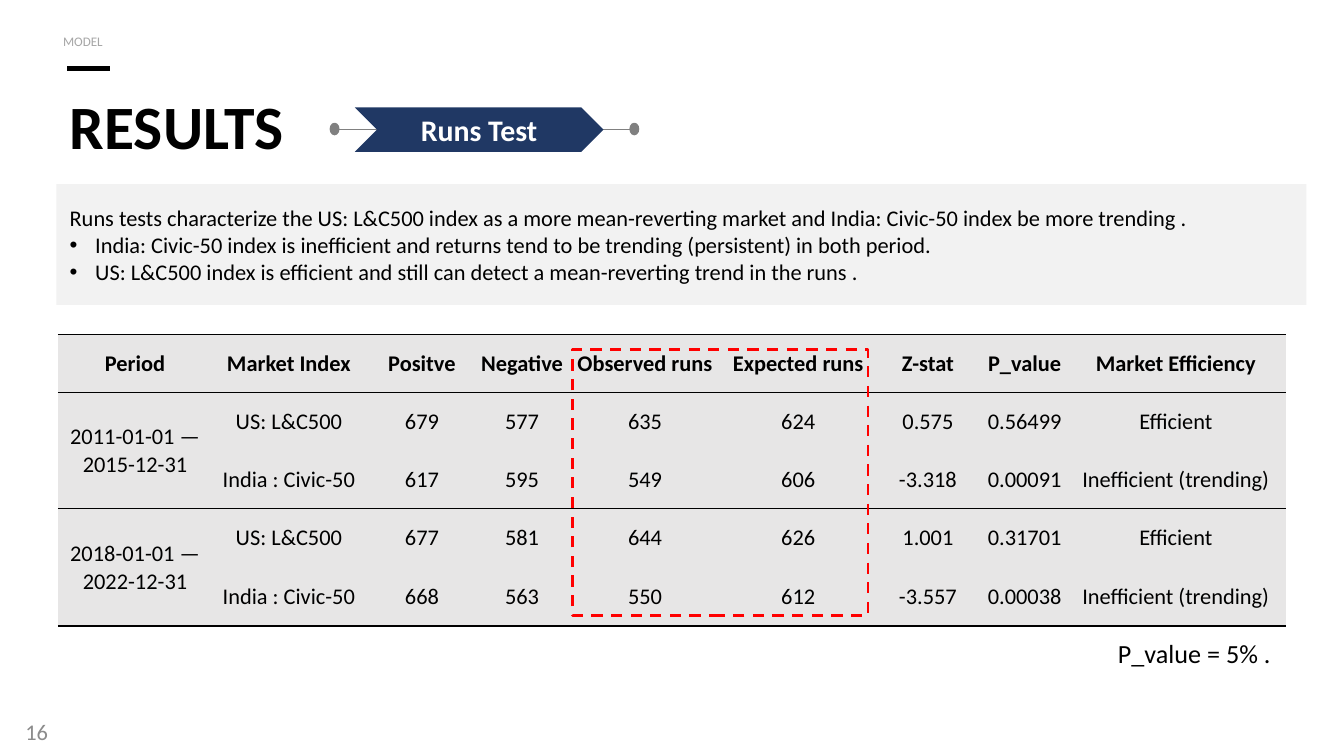
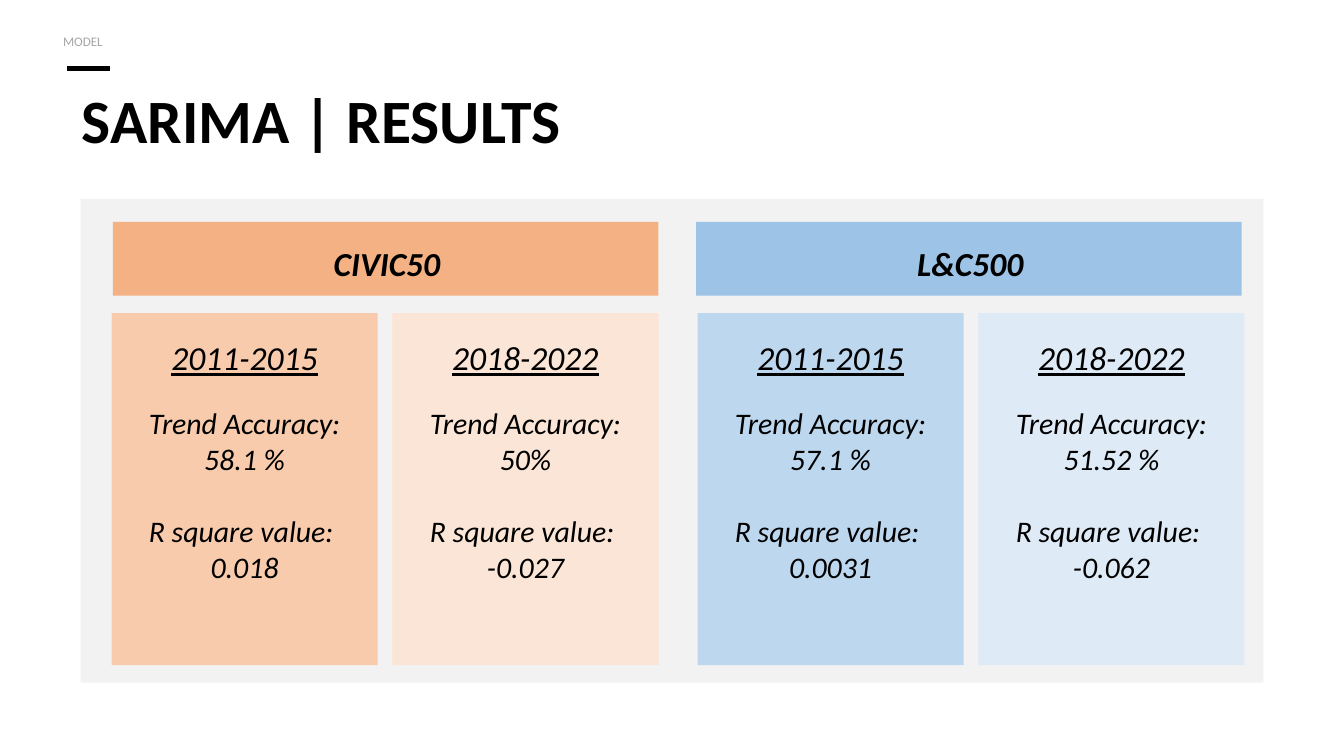
from dataclasses import dataclass
from typing import NamedTuple

from lxml.etree import SubElement
from pptx import Presentation
from pptx.dml.color import RGBColor
from pptx.enum.dml import MSO_LINE
from pptx.enum.shapes import MSO_CONNECTOR, MSO_SHAPE
from pptx.enum.text import MSO_ANCHOR, MSO_AUTO_SIZE, PP_ALIGN
from pptx.oxml.ns import qn
from pptx.util import Pt

PX = 9144  # 100 px to the inch
FONT = "Calibri"
BLACK = RGBColor(0x00, 0x00, 0x00)
WHITE = RGBColor(0xFF, 0xFF, 0xFF)
MUTED = RGBColor(0x8C, 0x8C, 0x8C)
FAINT = RGBColor(0xA6, 0xA6, 0xA6)
GREY = RGBColor(0x80, 0x80, 0x80)
PANEL = RGBColor(0xF2, 0xF2, 0xF2)
CELL = RGBColor(0xE7, 0xE6, 0xE6)
NAVY = RGBColor(0x20, 0x38, 0x64)
RED = RGBColor(0xFF, 0x00, 0x00)
ORANGE = RGBColor(0xF4, 0xB1, 0x83)
PEACH = RGBColor(0xF8, 0xCB, 0xAD)
CREAM = RGBColor(0xFB, 0xE5, 0xD6)
BLUE = RGBColor(0x9D, 0xC3, 0xE6)
SKY = RGBColor(0xBD, 0xD7, 0xEE)
ICE = RGBColor(0xDE, 0xEB, 0xF7)

NO_GRID = "{2D5ABB26-0587-4C30-8999-92F81FD0307C}"
COLS = (115, 114, 84, 65, 118, 110, 83, 61, 164)
ROWS = (43, 43, 43, 43, 45)
EDGES = {0: 1, 1: 0.5, 3: 0.5, 5: 1}  # line width above each row
RUNS = (
    ("Period", "Market Index", "Positve", "Negative", "Observed runs",
     "Expected runs", "Z-stat", "P_value", "Market Efficiency"),
    ("2011-01-01 — 2015-12-31", "US: L&C500", "679", "577", "635", "624",
     "0.575", "0.56499", "Efficient"),
    ("", "India : Civic-50", "617", "595", "549", "606",
     "-3.318", "0.00091", "Inefficient (trending)"),
    ("2018-01-01 — 2022-12-31", "US: L&C500", "677", "581", "644", "626",
     "1.001", "0.31701", "Efficient"),
    ("", "India : Civic-50", "668", "563", "550", "612",
     "-3.557", "0.00038", "Inefficient (trending)"),
)


class Box(NamedTuple):
    x: int
    y: int
    w: int
    h: int

    def emu(self) -> tuple:
        return tuple(side * PX for side in self)


class Para(NamedTuple):
    text: str
    bullet: bool = False
    before: float = 0


@dataclass
class Card:
    years: str
    trend: str
    fit: str
    fill: RGBColor


@dataclass
class Market:
    name: str
    band: int
    left: int
    fill: RGBColor
    cards: tuple


MARKETS = (
    Market("CIVIC50", 84, 83, ORANGE, (
        Card("2011-2015", "58.1 %", "0.018", PEACH),
        Card("2018-2022", "50%", "-0.027", CREAM))),
    Market("L&C500", 518, 519, BLUE, (
        Card("2011-2015", "57.1 %", "0.0031", SKY),
        Card("2018-2022", "51.52 %", "-0.062", ICE))),
)


def write(frame, *paras, size=12, color=BLACK, bold=False, italic=False,
          under=False, align=PP_ALIGN.LEFT, line=None) -> None:
    """Fill a text frame with strings or Paras in one format."""
    for i, item in enumerate(paras):
        para = Para(item) if isinstance(item, str) else item
        p = frame.paragraphs[0] if i == 0 else frame.add_paragraph()
        p.alignment = align
        p.space_before = Pt(para.before)
        if line:
            p.line_spacing = Pt(line)
        if para.bullet:
            props = p._p.get_or_add_pPr()
            props.set("marL", str(19 * PX))
            props.set("indent", str(-19 * PX))
            SubElement(props, qn("a:buFont"), typeface="Arial")
            SubElement(props, qn("a:buChar"), char="•")
        run = p.add_run()
        run.text = para.text
        font = run.font
        font.name, font.size, font.bold = FONT, Pt(size), bold
        font.italic, font.underline = italic, under
        font.color.rgb = color


def label(slide, box: Box, *paras, inset=None, wrap=True,
          anchor=MSO_ANCHOR.TOP, **style) -> None:
    frame = slide.shapes.add_textbox(*box.emu()).text_frame
    frame.word_wrap = wrap
    frame.auto_size = MSO_AUTO_SIZE.NONE if wrap else MSO_AUTO_SIZE.SHAPE_TO_FIT_TEXT
    frame.vertical_anchor = anchor
    if inset is not None:
        frame.margin_left = frame.margin_right = inset * PX
        frame.margin_top = frame.margin_bottom = inset * PX
    write(frame, *paras, **style)


def shape(slide, box: Box, fill=None, kind=MSO_SHAPE.RECTANGLE,
          edge=None, width=1.0, dash=None):
    item = slide.shapes.add_shape(kind, *box.emu())
    item.shadow.inherit = False
    if fill is None:
        item.fill.background()
    else:
        item.fill.solid()
        item.fill.fore_color.rgb = fill
    if edge is None:
        item.line.fill.background()
    else:
        item.line.color.rgb = edge
        item.line.width = Pt(width)
        if dash:
            item.line.dash_style = dash
    item.text_frame.vertical_anchor = MSO_ANCHOR.MIDDLE
    return item


def rule(slide, x: int, end: int, y: int, color: RGBColor, width: float) -> None:
    """Draw a level line from x to end."""
    item = slide.shapes.add_connector(
        MSO_CONNECTOR.STRAIGHT, x * PX, y * PX, end * PX, y * PX)
    item.line.color.rgb = color
    item.line.width = Pt(width)
    SubElement(item.element.spPr, qn("a:effectLst"))


def start(deck, title: str, box: Box):
    """Add a slide with its title, section mark and section name."""
    slide = deck.slides.add_slide(deck.slide_layouts[5])
    head = slide.shapes.title
    head.left, head.top, head.width, head.height = box.emu()
    frame = head.text_frame
    frame.auto_size = MSO_AUTO_SIZE.NONE
    frame.vertical_anchor = MSO_ANCHOR.TOP
    write(frame, title, size=33, bold=True, line=30)
    rule(slide, 50, 82, 51, BLACK, 2.25)
    label(slide, Box(42, 18, 452, 23), "MODEL", inset=5, size=7,
          color=FAINT, line=10)
    return slide


def frame_cell(cell, top, bottom) -> None:
    """Set all four borders; a width of None means no line."""
    props = cell._tc.get_or_add_tcPr()
    sides = (("a:lnL", None), ("a:lnR", None), ("a:lnT", top), ("a:lnB", bottom))
    for at, (tag, width) in enumerate(sides):
        edge = SubElement(props, qn(tag))
        if width is None:
            SubElement(edge, qn("a:noFill"))
        else:
            edge.set("w", str(int(Pt(width))))
            fill = SubElement(edge, qn("a:solidFill"))
            SubElement(fill, qn("a:srgbClr"), val=str(BLACK))
            SubElement(edge, qn("a:prstDash"), val="solid")
        props.insert(at, edge)


def grid(slide) -> None:
    box = Box(43, 249, sum(COLS), sum(ROWS))
    frame = slide.shapes.add_table(len(ROWS), len(COLS), *box.emu())
    for style in frame.element.iter(qn("a:tableStyleId")):
        style.text = NO_GRID
    table = frame.table
    table.first_row = table.horz_banding = False
    for col, width in zip(table.columns, COLS):
        col.width = width * PX
    for row, height in zip(table.rows, ROWS):
        row.height = height * PX
    for top in (1, 3):
        table.cell(top, 0).merge(table.cell(top + 1, 0))
    for r, texts in enumerate(RUNS):
        for c, text in enumerate(texts):
            cell = table.cell(r, c)
            cell.fill.solid()
            cell.fill.fore_color.rgb = CELL
            cell.vertical_anchor = MSO_ANCHOR.MIDDLE
            cell.margin_left = cell.margin_right = cell.margin_top = PX
            cell.margin_bottom = 0
            frame_cell(cell, EDGES.get(r), EDGES.get(r + cell.span_height))
            if text:
                write(cell.text_frame, text, bold=r == 0, align=PP_ALIGN.CENTER)


def runs(deck) -> None:
    slide = start(deck, "RESULTS", Box(42, 74, 922, 90))
    label(slide, Box(9, 529, 225, 30), "16", color=MUTED, anchor=MSO_ANCHOR.MIDDLE)
    intro = shape(slide, Box(42, 137, 930, 90), PANEL)
    write(intro.text_frame,
          "Runs tests characterize the US: L&C500 index as a more mean-reverting "
          "market and India: Civic-50 index be more trending .",
          Para("India: Civic-50 index is inefficient and returns tend to be "
               "trending (persistent) in both period.", bullet=True),
          Para("US: L&C500 index is efficient and still can detect a "
               "mean-reverting trend in the runs .", bullet=True))
    rule(slide, 249, 472, 96, GREY, 0.5)
    for x in (246, 469):
        shape(slide, Box(x, 92, 6, 8), GREY, MSO_SHAPE.OVAL, GREY)
    tag = shape(slide, Box(264, 80, 185, 33), NAVY, MSO_SHAPE.CHEVRON)
    write(tag.text_frame, "Runs Test", size=16, color=WHITE, bold=True,
          align=PP_ALIGN.CENTER)
    grid(slide)
    shape(slide, Box(426, 260, 220, 198), edge=RED, width=1.5, dash=MSO_LINE.DASH)
    label(slide, Box(822, 469, 150, 34), "P_value = 5% .", size=14)


def sarima(deck) -> None:
    slide = start(deck, "SARIMA | RESULTS", Box(51, 69, 922, 50))
    shape(slide, Box(60, 148, 880, 360), PANEL)
    style = dict(inset=5, wrap=False, italic=True, align=PP_ALIGN.CENTER)
    for market in MARKETS:
        shape(slide, Box(market.band, 165, 406, 55), market.fill)
        label(slide, Box(market.band + 156, 176, 96, 40), market.name,
              size=18, bold=True, **style)
        for i, card in enumerate(market.cards):
            x = market.left + 209 * i
            shape(slide, Box(x, 233, 198, 262), card.fill)
            label(slide, Box(x + 39, 246, 120, 40), card.years,
                  size=18, under=True, **style)
            label(slide, Box(x + 22, 296, 154, 145), "Trend Accuracy:", card.trend,
                  Para("R square value: ", before=19.5), card.fit,
                  size=16, **style)


def main() -> None:
    deck = Presentation()
    deck.slide_width = 1000 * PX
    deck.slide_height = deck.slide_width * 9 // 16
    runs(deck)
    sarima(deck)
    deck.save("out.pptx")


if __name__ == "__main__":
    main()
